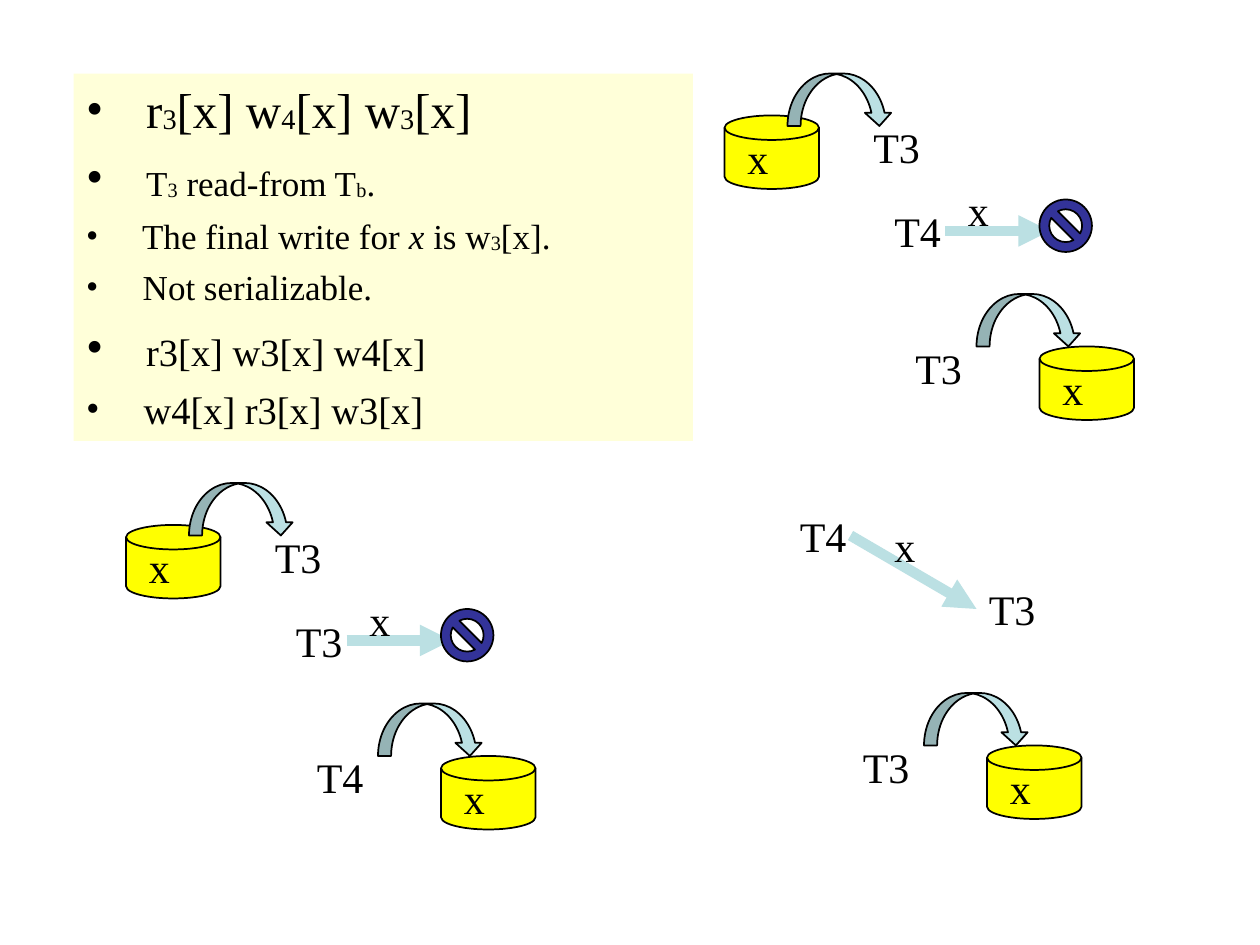
from lxml.etree import SubElement
from pptx import Presentation
from pptx.dml.color import RGBColor
from pptx.enum.shapes import MSO_CONNECTOR, MSO_SHAPE
from pptx.enum.text import MSO_ANCHOR, MSO_AUTO_SIZE, PP_ALIGN
from pptx.oxml.ns import qn
from pptx.util import Inches, Pt

THEME = {
    "font": "Times New Roman",
    "ink": RGBColor(0, 0, 0),
    "panel": RGBColor(0xFF, 0xFF, 0x99),
    "panel_alpha": 37,
    "disk": RGBColor(0xFF, 0xFF, 0),
    "flow": RGBColor(0xBB, 0xE0, 0xE3),
    "stop": RGBColor(0x33, 0x33, 0x99),
    "large": 28, "medium": 22, "small": 20, "label": 24,
    "outline": 1, "flow_width": 6,
}

prs = Presentation()
prs.slide_width, prs.slide_height = Inches(10), Inches(7.5)
COL, ROW = prs.slide_width // 120, prs.slide_height // 90
s = prs.slides.add_slide(prs.slide_layouts[1])


def grid(x, y, w, h):
    return int(x * COL), int(y * ROW), int(w * COL), int(h * ROW)


def add_run(p, text, size, **fmt):
    r = p.add_run()
    r.text = text
    r.font.color.rgb = THEME["ink"]
    for key, value in {"name": THEME["font"], "size": Pt(size), **fmt}.items():
        setattr(r.font, key, value)
    return r


title = s.shapes.title.element
title.getparent().remove(title)
sp = s.placeholders[1]
sp.left, sp.top, sp.width, sp.height = grid(7, 7, 59, 35)
sp.fill.solid()
sp.fill.fore_color.rgb = THEME["panel"]
clr = sp.element.spPr.find(qn("a:solidFill"))[0]
SubElement(clr, qn("a:alpha"), val=str(THEME["panel_alpha"] * 1000))
tf = sp.text_frame
for key, value in {"word_wrap": True, "auto_size": MSO_AUTO_SIZE.NONE,
                   "vertical_anchor": MSO_ANCHOR.TOP}.items():
    setattr(tf, key, value)

large, medium, small = THEME["large"], THEME["medium"], THEME["small"]
bullets = [
    (0, large, large, [("r", ""), ("3", "sub"), ("[x] w", ""), ("4", "sub"),
                       ("[x] w", ""), ("3", "sub"), ("[x]", "")]),
    (5, large, small, [("T", ""), ("3", "sub"), (" read-from T", ""), ("b", "sub"), (".", "")]),
    (5, small, small, [("The final write for ", ""), ("x", "italic"), (" is w", ""),
                       ("3", "sub"), ("[x].", "")]),
    (5, small, small, [("Not serializable.", "")]),
    (5.5, large, medium, [("r3[x] w3[x] w4[x]", "")]),
    (5.5, medium, medium, [("w4[x] r3[x] w3[x]", "")]),
]
for i, (before, lead, size, runs) in enumerate(bullets):
    p = tf.paragraphs[0] if i == 0 else tf.add_paragraph()
    pPr = p._p.get_or_add_pPr()
    pPr.set("marL", str(Inches(0.38)))
    pPr.set("indent", str(-Inches(0.38)))
    SubElement(SubElement(pPr, qn("a:buClr")), qn("a:srgbClr"), val=str(THEME["ink"]))
    SubElement(pPr, qn("a:buFont"), typeface=THEME["font"])
    SubElement(pPr, qn("a:buChar"), char="•")
    p.space_before = Pt(before)
    p.alignment = PP_ALIGN.LEFT
    add_run(p, " ", lead)
    for text, style in runs:
        r = add_run(p, text, size, italic=style == "italic")
        if style == "sub":
            r._r.get_or_add_rPr().set("baseline", "-2000")

KINDS = {
    "disk": (MSO_SHAPE.FLOWCHART_MAGNETIC_DISK, 9, 7, THEME["disk"]),
    "curve": (MSO_SHAPE.CURVED_DOWN_ARROW, 10, 5, THEME["flow"]),
    "stop": (MSO_SHAPE.NO_SYMBOL, 5, 5, THEME["stop"]),
}
disks, curves, labels, flows, stops = [], [], [], [], []
for dx, dy, reader, sender, writer in [(0, 0, "T3", "T4", "T3"), (-57, 39, "T3", "T3", "T4")]:
    disks += [(69 + dx, 11 + dy), (99 + dx, 33 + dy)]
    curves += [(75 + dx, 7 + dy), (93 + dx, 28 + dy)]
    labels += [(reader, 82 + dx, 11 + dy), (sender, 84 + dx, 19 + dy),
               (writer, 86 + dx, 32 + dy), ("x", 91 + dx, 17 + dy)]
    flows.append((90 + dx, 22 + dy, 100 + dx, 22 + dy))
    stops.append((99 + dx, 19 + dy))
disks.append((94, 71))
curves.append((88, 66))
labels += [("T3", 81, 70), ("T4", 75, 48), ("T3", 93, 55), ("x", 84, 49)]
labels += [("x", x + 1, y + 1) for x, y in disks]
flows.append((81, 51, 93, 58))

for x1, y1, x2, y2 in flows:
    cx = s.shapes.add_connector(MSO_CONNECTOR.STRAIGHT, x1 * COL, y1 * ROW, x2 * COL, y2 * ROW)
    cx.line.color.rgb = THEME["flow"]
    cx.line.width = Pt(THEME["flow_width"])
    SubElement(cx.line._get_or_add_ln(), qn("a:tailEnd"), type="triangle")
    SubElement(cx._element.spPr, qn("a:effectLst"))

for kind, spots in [("disk", disks), ("curve", curves), ("stop", stops)]:
    preset, w, h, color = KINDS[kind]
    for x, y in spots:
        sp = s.shapes.add_shape(preset, *grid(x, y, w, h))
        sp.shadow.inherit = False
        sp.fill.solid()
        sp.fill.fore_color.rgb = color
        sp.line.color.rgb = THEME["ink"]
        sp.line.width = Pt(THEME["outline"])

for text, x, y in labels:
    sp = s.shapes.add_textbox(*grid(x, y, 4 if text == "x" else 6.84, 6))
    tf = sp.text_frame
    tf.word_wrap = text == "x"
    add_run(tf.paragraphs[0], text, THEME["label"])

prs.save("out.pptx")
